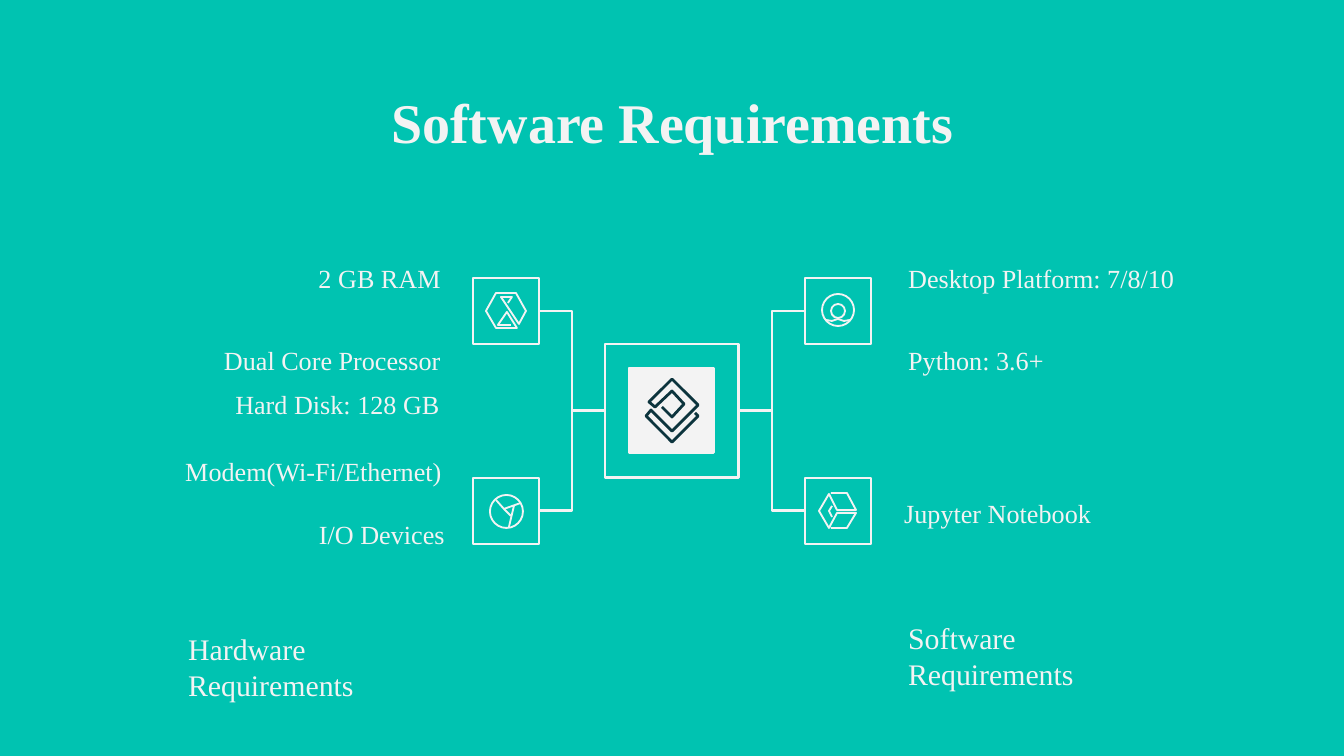
from lxml import etree
from pptx import Presentation
from pptx.dml.color import RGBColor
from pptx.enum.shapes import MSO_CONNECTOR as Connector, MSO_SHAPE as Shape
from pptx.enum.text import MSO_ANCHOR as Anchor, PP_ALIGN as Align
from pptx.oxml import parse_xml
from pptx.oxml.ns import nsdecls, qn
from pptx.util import Pt

PX = 914400 / 134.4
LIGHT, DARK, TEAL = "F3F3F3", "0C343D", "00C3B1"
LEFT, CENTER, RIGHT = Align.LEFT, Align.CENTER, Align.RIGHT


def px(*lengths):
    return [round(length * PX) for length in lengths]


def style(shape, line=LIGHT, width=1.5, fill=None):
    shape.shadow.inherit = False
    shape.line.color.rgb = RGBColor.from_string(line)
    shape.line.width = Pt(width)
    if fill:
        shape.fill.solid()
        shape.fill.fore_color.rgb = RGBColor.from_string(fill)
    else:
        shape.fill.background()


presentation = Presentation()
presentation.slide_width, presentation.slide_height = px(1344, 756)
slide = presentation.slides.add_slide(presentation.slide_layouts[6])
slide.background.fill.solid()
slide.background.fill.fore_color.rgb = RGBColor.from_string(TEAL)
shapes = slide.shapes

# Central chip and the four corner boxes
for left, top, size, fill in [
    (605, 344, 134, None), (629, 368, 85, LIGHT),
    (473, 278, 66, None), (805, 278, 66, None),
    (473, 478, 66, None), (805, 478, 66, None),
]:
    style(shapes.add_shape(Shape.RECTANGLE, *px(left, top, size, size)), fill=fill)

# Elbow connectors from the corner boxes to the chip
for box_x, chip_x in [(539, 605), (805, 739)]:
    for box_y in (311, 511):
        connector = shapes.add_connector(Connector.ELBOW, *px(box_x, box_y, chip_x, 411))
        connector.line.color.rgb = RGBColor.from_string(LIGHT)
        connector.line.width = Pt(1.5)
        etree.SubElement(connector._element.spPr, qn("a:effectLst"))

# Round parts of the icons
for left, top, size in [(822, 294, 32), (831, 304, 14), (490, 495, 33)]:
    style(shapes.add_shape(Shape.OVAL, *px(left, top, size, size)), width=1)

# Line parts of the icons
icon_lines = [
    # Chip spiral
    (DARK, 1.5, [(662, 407), (672, 417), (684, 404), (672, 391), (655, 407), (649, 402),
                 (672, 379), (698, 405), (672, 431), (651, 410), (646, 416), (672, 442),
                 (698, 416), (695, 413)]),
    # Hexagon
    (LIGHT, 1, [(511, 325), (498, 325), (507, 312), (517, 328), (496, 328), (486, 311),
                (496, 293), (516, 293), (526, 311), (519, 324), (501, 297), (512, 297),
                (508, 303)]),
    # Cube
    (LIGHT, 1, [(831, 493), (847, 493), (856, 510), (837, 510), (829, 494), (819, 511),
                (829, 528), (837, 513), (856, 513), (847, 528), (831, 528)]),
    (LIGHT, 1, [(832, 506), (829, 511), (832, 517)]),
    # Wheel spokes
    (LIGHT, 1, [(496, 500), (504, 509), (521, 503)]),
    (LIGHT, 1, [(504, 509), (511, 516)]),
    (LIGHT, 1, [(514, 506), (509, 527)]),
    # Ring base
    (LIGHT, 1, [(826, 320), (832, 321), (838, 319), (844, 321), (850, 320)]),
]
for color, width, points in icon_lines:
    builder = shapes.build_freeform(*points[0], scale=PX)
    builder.add_line_segments(points[1:], close=False)
    style(builder.convert_to_shape(), color, width)

# Texts: lines, box, size, alignment, anchor, vertical inset
TOP, MIDDLE = Anchor.TOP, Anchor.MIDDLE
texts = [
    (["Software Requirements"], (106, 75, 1133, 85), 30, CENTER, TOP, 13),
    (["2 GB RAM"], (126, 249, 328, 66), 14, RIGHT, TOP, 13),
    (["Dual Core Processor"], (126, 333, 328, 54), 14, RIGHT, MIDDLE, 13),
    (["Hard Disk: 128 GB"], (222, 381, 293, 46), 14, LEFT, TOP, 7),
    (["Modem(Wi-Fi/Ethernet)"], (62, 442, 393, 59), 14, RIGHT, TOP, 13),
    (["I/O Devices"], (130, 505, 328, 103), 14, RIGHT, TOP, 13),
    (["Desktop Platform: 7/8/10"], (895, 249, 323, 66), 14, LEFT, TOP, 13),
    (["Python: 3.6+"], (895, 333, 323, 54), 14, LEFT, MIDDLE, 13),
    (["Jupyter Notebook"], (891, 484, 323, 54), 14, LEFT, TOP, 13),
    (["Hardware Requirements"], (175, 624, 280, 86), 16, LEFT, TOP, 7),
    (["Software", "Requirements"], (895, 613, 312, 86), 16, LEFT, TOP, 7),
]
for lines, box, size, align, anchor, inset in texts:
    frame = shapes.add_textbox(*px(*box)).text_frame
    frame.word_wrap = True
    frame.vertical_anchor = anchor
    frame.margin_top, frame.margin_bottom = px(inset, inset)
    frame.text = "\n".join(lines)
    for paragraph in frame.paragraphs:
        paragraph.alignment = align
        paragraph.font.name = "Times New Roman"
        paragraph.font.size = Pt(size)
        paragraph.font.bold = size == 30
        paragraph.font.color.rgb = RGBColor.from_string(LIGHT)
        # Group captions carry a soft text shadow
        if size == 16:
            paragraph.runs[0]._r.get_or_add_rPr().append(parse_xml(
                f'<a:effectLst {nsdecls("a")}><a:outerShdw blurRad="38100" dist="19050" '
                'dir="2700000" algn="tl"><a:srgbClr val="000000"><a:alpha val="40000"/>'
                '</a:srgbClr></a:outerShdw></a:effectLst>'))

presentation.save("out.pptx")
